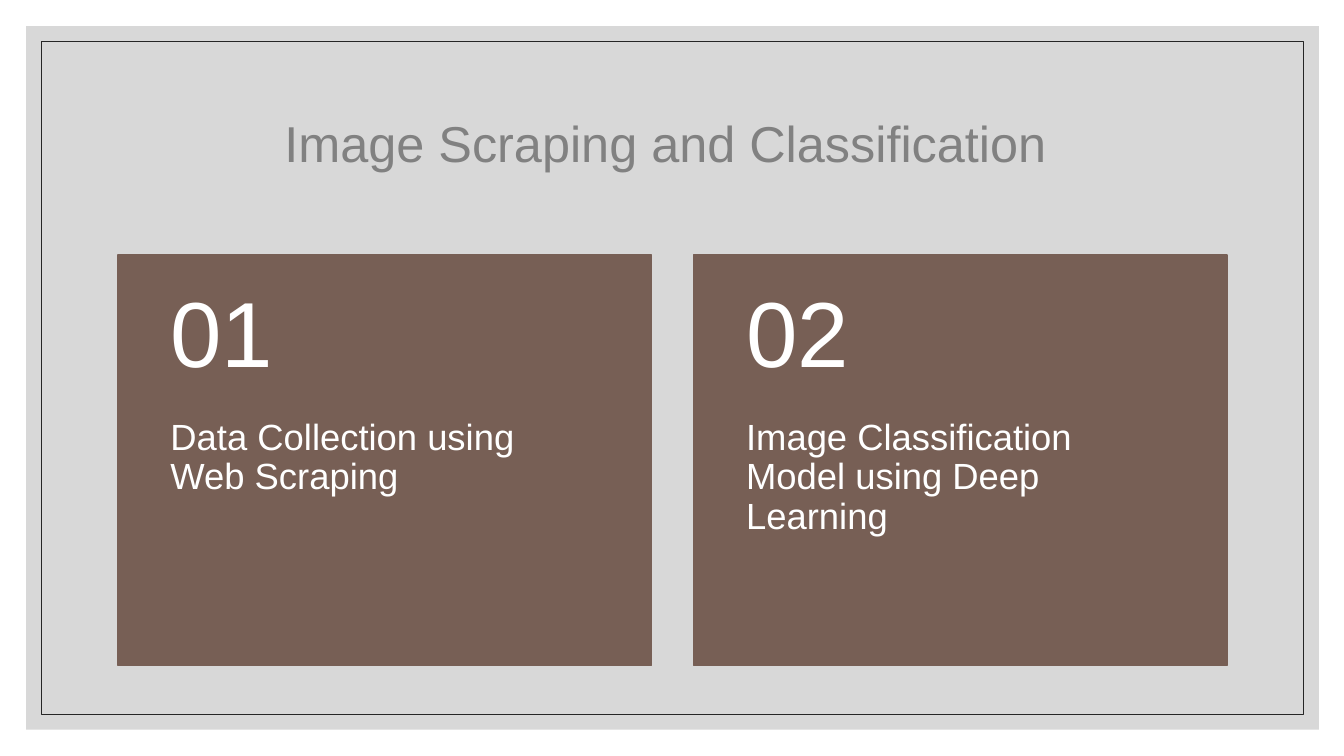
from pptx import Presentation
from pptx.dml.color import RGBColor
from pptx.enum.shapes import MSO_SHAPE
from pptx.enum.text import MSO_ANCHOR, MSO_AUTO_SIZE, PP_ALIGN
from pptx.oxml.ns import qn
from pptx.util import Pt
from lxml import etree

PX = 9144  # 100 px to the inch
RECT = MSO_SHAPE.RECTANGLE
TOP, MID = MSO_ANCHOR.TOP, MSO_ANCHOR.MIDDLE
LEFT, CENTER = PP_ALIGN.LEFT, PP_ALIGN.CENTER
GRAY = RGBColor(0xBF, 0xBF, 0xBF)
DARK = RGBColor(0x26, 0x26, 0x26)
BROWN = RGBColor(0x77, 0x5F, 0x55)
WHITE = RGBColor(0xFF, 0xFF, 0xFF)


def add_rect(x, y, w, h, fill=None, line=None, width=1):
    rect = slide.shapes.add_shape(RECT, x * PX, y * PX, w * PX, h * PX)
    rect.shadow.inherit = False
    if fill is None:
        rect.fill.background()
    else:
        rect.fill.solid()
        rect.fill.fore_color.rgb = fill
    if line is None:
        rect.line.fill.background()
    else:
        rect.line.color.rgb = line
        rect.line.width = Pt(width)
    return rect


def set_text(box, text, size, color, align=LEFT, anchor=TOP, pad=(10, 5, 10, 5)):
    """Fill the box with one paragraph; pad is left, top, right, bottom."""
    frame = box.text_frame
    frame.word_wrap = True
    frame.auto_size = MSO_AUTO_SIZE.NONE
    frame.vertical_anchor = anchor
    frame.margin_left, frame.margin_top, frame.margin_right, frame.margin_bottom = (
        side * PX for side in pad)
    para = frame.paragraphs[0]
    para.alignment = align
    para.line_spacing = 0.9
    run = para.add_run()
    run.text = text
    run.font.name = "Arial"
    run.font.size = Pt(size)
    run.font.color.rgb = color


deck = Presentation()
deck.slide_width, deck.slide_height = 1333 * PX, 750 * PX
slide = deck.slides.add_slide(deck.slide_layouts[5])

# Background panel and frame
panel = add_rect(26, 26, 1282, 698, fill=GRAY)
tint = panel.fill._xPr.find(qn("a:solidFill"))[0]
etree.SubElement(tint, qn("a:alpha"), val="60000")
add_rect(41, 41, 1252, 668, line=DARK, width=0.5)

# Title
title = slide.shapes.title
title.left, title.top, title.width, title.height = 117 * PX, 70 * PX, 1100 * PX, 150 * PX
set_text(title, "Image Scraping and Classification ", 36, DARK, align=CENTER, anchor=MID)

# Numbered cards
CARD_W, CARD_H, HEAD_H, STEP = 529, 407, 163, 571
CARD_Y = 253
topics = ["Data Collection using Web Scraping",
          "Image Classification Model using Deep Learning"]
for i, topic in enumerate(topics):
    x = 117 + i * STEP
    add_rect(x, CARD_Y, CARD_W, CARD_H, fill=BROWN, line=BROWN)
    body = slide.shapes.add_textbox(
        x * PX, (CARD_Y + HEAD_H) * PX, CARD_W * PX, (CARD_H - HEAD_H) * PX)
    set_text(body, topic, 26, WHITE, pad=(52, 0, 52, 36))
    head = slide.shapes.add_textbox(x * PX, CARD_Y * PX, CARD_W * PX, HEAD_H * PX)
    set_text(head, f"{i + 1:02}", 66, WHITE, anchor=MID, pad=(52, 18, 52, 18))

deck.save("out.pptx")
